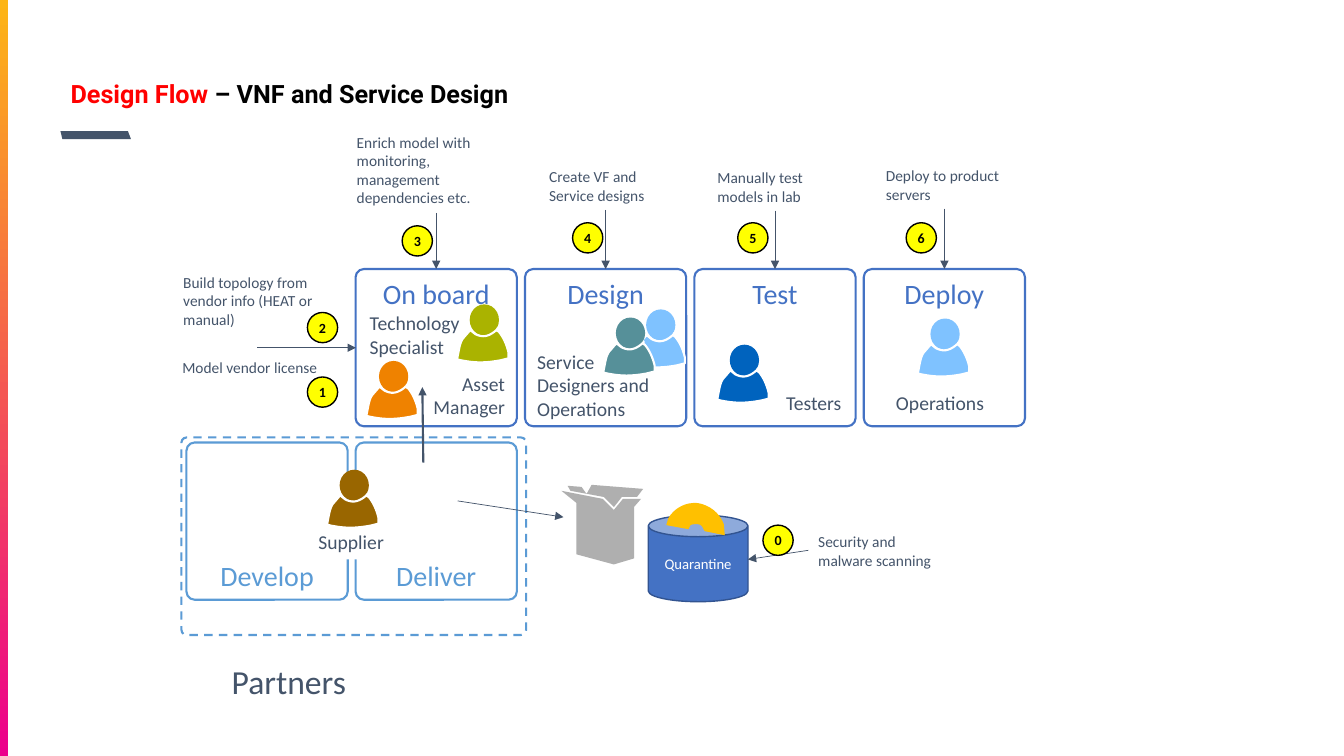
from pptx import Presentation
from pptx import util as u
from pptx.dml.color import RGBColor
from pptx.enum import dml, shapes, text
from pptx.oxml.ns import qn
from lxml import etree

Pt = u.Pt
MSO = shapes.MSO_SHAPE
AL = text.PP_ALIGN
ANC = text.MSO_ANCHOR

THEME = {
    "font": "Calibri", "title_font": "Roboto",
    "ink": "44546A", "red": "FF0000", "black": "000000", "white": "FFFFFF",
    "blue": "4472C4", "sky": "5B9BD5", "navy": "325491",
    "yellow": "FFFF00", "gold": "FFC000", "gray": "AFAFAF",
    "bar": ("FDB515", "EC008C"),
    "title": 18, "stage": 20, "group": 24, "role": 14, "note": 11,
    "store": 10.5, "badge": 10,
}

TITLE = [("Design Flow ", "red"), ("– VNF and Service Design", "black")]
STAGES = [("On board", 152), ("Design", 150), ("Test", 150.5), ("Deploy", 149)]
PARTNER_STAGES = [("Develop", 133.2), ("Deliver", 254)]
ROLES = [
    ("Service Designers and Operations", 376.6, 246.2, 109.4, 58.3, AL.LEFT, True),
    ("Supplier", 220.3, 375.1, 61.9, 24.5, AL.LEFT, False),
    ("Asset Manager", 298.1, 262.1, 69.8, 41, AL.RIGHT, True),
    ("Technology Specialist", 257, 218.9, 97.2, 41, AL.LEFT, True),
    ("Testers", 554.4, 275.8, 54.7, 24.5, AL.LEFT, False),
    ("Operations", 632.9, 275.8, 82.8, 24.5, AL.LEFT, True),
]
PEOPLE = [
    (521.3, 246.2, "0063BE"), (335.5, 217.4, "AAB300"), (664.6, 227.5, "7FC2FF"),
    (461.5, 221, "7FC2FF"), (439.9, 226.8, "569099"), (270.7, 257.8, "EF8200"),
    (242.6, 335.5, "996600"),
]
NOTES = [
    ("Enrich model with monitoring, management dependencies etc.", 247.7, 91.4, 128.2, 60.5),
    ("Create VF and Service designs", 385.2, 115.9, 96.5, 33.8),
    ("Build topology from vendor info (HEAT or manual)", 123.8, 191.5, 128.2, 47.5),
    ("Model vendor license", 123.1, 252, 128.2, 20.9),
    ("Manually test models in lab", 505.4, 116.6, 96.5, 33.8),
    ("Deploy to product servers", 625.7, 115.2, 96.5, 33.8),
    ("Security and malware scanning", 577.4, 376.6, 96.5, 33.8),
]
BADGES = [("1", 219.6, 269.3), ("2", 219.6, 223.2), ("3", 287.3, 161.3), ("4", 409, 159.1),
          ("5", 527, 159.1), ("6", 647.3, 159.1), ("0", 545, 375.1)]
ARROWS = [(302.4, 330.5, 301.7, 276.5, 1.5), (183.6, 248.4, 254.2, 248.4, 0.5),
          (326.9, 357.8, 402.5, 369.4, 0.5), (577.4, 393.1, 534.2, 399.6, 0.5)]

ACCENT = [(44.6, 99.4), (93.6, 99.4), (91.4, 93.6), (43.2, 93.6)]
TORSO = [(28.8, 0), (28.8, 2.2), (29.5, 2.2), (33.1, 6.5, 35.3, 11.5, 36.7, 17.3),
         (36.7, 21.6), (31, 23), (26.6, 23.8, 21.6, 24.5, 16.6, 24.5),
         (11.5, 24.5, 7.2, 23.8, 2.9, 23), (0, 22.3), (1.4, 15.1),
         (2.2, 11.5, 2.9, 8.6, 5, 6.5), (9.4, 1.4), (13, 4.3),
         (14.4, 5, 16.6, 5.8, 18.7, 5.8), (22.3, 5.8, 25.9, 3.6, 28.8, 0.7)]
CARTON = [(438.5, 403.2), (452.9, 398.9), (452.9, 362.2), (457.9, 356.4), (445, 356.4),
          (438.5, 364.3), (430.6, 356.4), (401, 350.6), (411.8, 359.3), (411.8, 396)]
FLAPS = [(431.3, 355), (438.5, 362.2), (444.2, 355), (455, 355), (459.4, 349.2),
         (422.6, 346.3), (419, 352.8), (415.4, 347.8), (405.4, 347), (407.5, 350.6)]
DISC = [(498.2, 359.3), (506.9, 360.7, 514.1, 366.5, 517, 374.4), (517.7, 382.3),
        (503.3, 379.4), (501.8, 376.6), (501.1, 375.1, 499.7, 374.4, 497.5, 374.4),
        (496.1, 374.4, 494.6, 374.4, 493.2, 375.1), (491.8, 378), (475.9, 375.1),
        (477.4, 370.1), (481.7, 362.9, 489.6, 358.6, 498.2, 359.3)]

STAGE_LEFT, STAGE_TOP, STAGE_STEP = 254, 192.2, 121
STAGE_W, STAGE_H = 115.2, 112.3


def rgb(name):
    return RGBColor.from_string(THEME.get(name, name))


def put(obj, values):
    for key, value in values.items():
        setattr(obj, key, value)


def paint(sp, fill=None, line=None, width=1.5):
    sp.shadow.inherit = False
    if fill:
        sp.fill.solid()
        sp.fill.fore_color.rgb = rgb(fill)
    else:
        sp.fill.background()
    if line:
        sp.line.color.rgb = rgb(line)
        sp.line.width = Pt(width)
    else:
        sp.line.fill.background()
    return sp


def shape(kind, x, y, w, h, **look):
    return paint(prs_shapes.add_shape(kind, Pt(x), Pt(y), Pt(w), Pt(h)), **look)


def write(sp, runs, size, align=AL.LEFT, font="font", bold=False, **frame):
    tf = sp.text_frame
    put(tf, {"word_wrap": True, "vertical_anchor": ANC.TOP, **frame})
    p = tf.paragraphs[0]
    p.alignment = align
    for content, color in runs:
        r = p.add_run()
        r.text = content
        put(r.font, {"name": THEME[font], "size": Pt(THEME[size]), "bold": bold})
        r.font.color.rgb = rgb(color)
    return p


def outline(segments, dx=0, dy=0, **look):
    points = [segments[0]]
    for seg in segments[1:]:
        if len(seg) == 2:
            points.append(seg)
            continue
        corners = [points[-1], seg[:2], seg[2:4], seg[4:]]
        for t in (i / 8 for i in range(1, 9)):
            weights = ((1 - t) ** 3, 3 * t * (1 - t) ** 2, 3 * t * t * (1 - t), t ** 3)
            points.append(tuple(sum(k * c[a] for k, c in zip(weights, corners)) for a in (0, 1)))
    placed = [(Pt(x + dx), Pt(y + dy)) for x, y in points]
    builder = prs_shapes.build_freeform(*placed[0])
    builder.add_line_segments(placed[1:], close=True)
    return paint(builder.convert_to_shape(), **look)


def arrow(x1, y1, x2, y2, width):
    c = prs_shapes.add_connector(shapes.MSO_CONNECTOR.STRAIGHT, Pt(x1), Pt(y1), Pt(x2), Pt(y2))
    c.line.color.rgb = rgb("ink")
    c.line.width = Pt(width)
    props = c._element.spPr
    etree.SubElement(props.find(qn("a:ln")), qn("a:tailEnd"), type="triangle")
    etree.SubElement(props, qn("a:effectLst"))


def stage(name, x, y, color, anchor):
    sp = shape(MSO.ROUNDED_RECTANGLE, x, y, STAGE_W, STAGE_H, line=color)
    sp.adjustments[0] = 0.052
    write(sp, [(name, color)], "stage", AL.CENTER, vertical_anchor=anchor)


prs = Presentation()
put(prs, {"slide_width": Pt(960), "slide_height": Pt(540)})
s = prs.slides.add_slide(prs.slide_layouts[5])
prs_shapes = s.shapes

bar = shape(MSO.RECTANGLE, 0, 0, 5.8, 540)
bar.fill.gradient()
bar.fill.gradient_angle = 270
for stop, color in zip(bar.fill.gradient_stops, THEME["bar"]):
    stop.color.rgb = rgb(color)
outline(ACCENT, fill="ink")

title = prs_shapes.title
put(title, {"left": Pt(43.2), "top": Pt(57.6), "width": Pt(873.4), "height": Pt(21.6)})
p = write(title, TITLE, "title", font="title_font", bold=True,
          vertical_anchor=ANC.MIDDLE, auto_size=text.MSO_AUTO_SIZE.NONE)
p.line_spacing = 0.9

for name, x in PARTNER_STAGES:
    stage(name, x, 316.1, "sky", ANC.BOTTOM)
for name, x, y, w, h, align, wrap in ROLES:
    sp = shape(MSO.RECTANGLE, x, y, w, h, fill="white")
    write(sp, [(name, "ink")], "role", align, word_wrap=wrap)
for i, (name, arrow_top) in enumerate(STAGES):
    x = STAGE_LEFT + i * STAGE_STEP
    stage(name, x, STAGE_TOP, "blue", ANC.TOP)
    arrow(x + STAGE_W / 2, arrow_top, x + STAGE_W / 2, STAGE_TOP, 0.5)

partners = shape(MSO.ROUNDED_RECTANGLE, 129.6, 312.5, 246.2, 141.1, line="sky")
partners.adjustments[0] = 0.026
partners.line.dash_style = dml.MSO_LINE.DASH
write(shape(MSO.RECTANGLE, 158.4, 468.7, 115.2, 36, fill="white"), [("Partners", "ink")], "group")

for x, y, color in PEOPLE:
    shape(MSO.OVAL, x, y, 20.9, 22.3, fill=color)
    outline(TORSO, x - 9, y + 17, fill=color, line="white")
for name, x, y, w, h in NOTES:
    sp = prs_shapes.add_textbox(Pt(x), Pt(y), Pt(w), Pt(h))
    write(sp, [(name, "ink")], "note")

for part in (CARTON, FLAPS):
    outline(part, fill="gray")
store = shape(MSO.CAN, 463, 367.9, 71.3, 61.9, fill="blue", line="navy", width=1)
write(store, [("Quarantine", "white")], "store", AL.CENTER, vertical_anchor=ANC.MIDDLE)
outline(DISC, fill="gold")

for ends in ARROWS:
    arrow(*ends)
for number, x, y in BADGES:
    sp = shape(MSO.OVAL, x, y, 21.6, 21.6, fill="yellow", line="black", width=1)
    write(sp, [(number, "black")], "badge", AL.CENTER, bold=True, vertical_anchor=ANC.MIDDLE,
          margin_left=0, margin_right=0, margin_top=0, margin_bottom=0)

prs.save("out.pptx")
